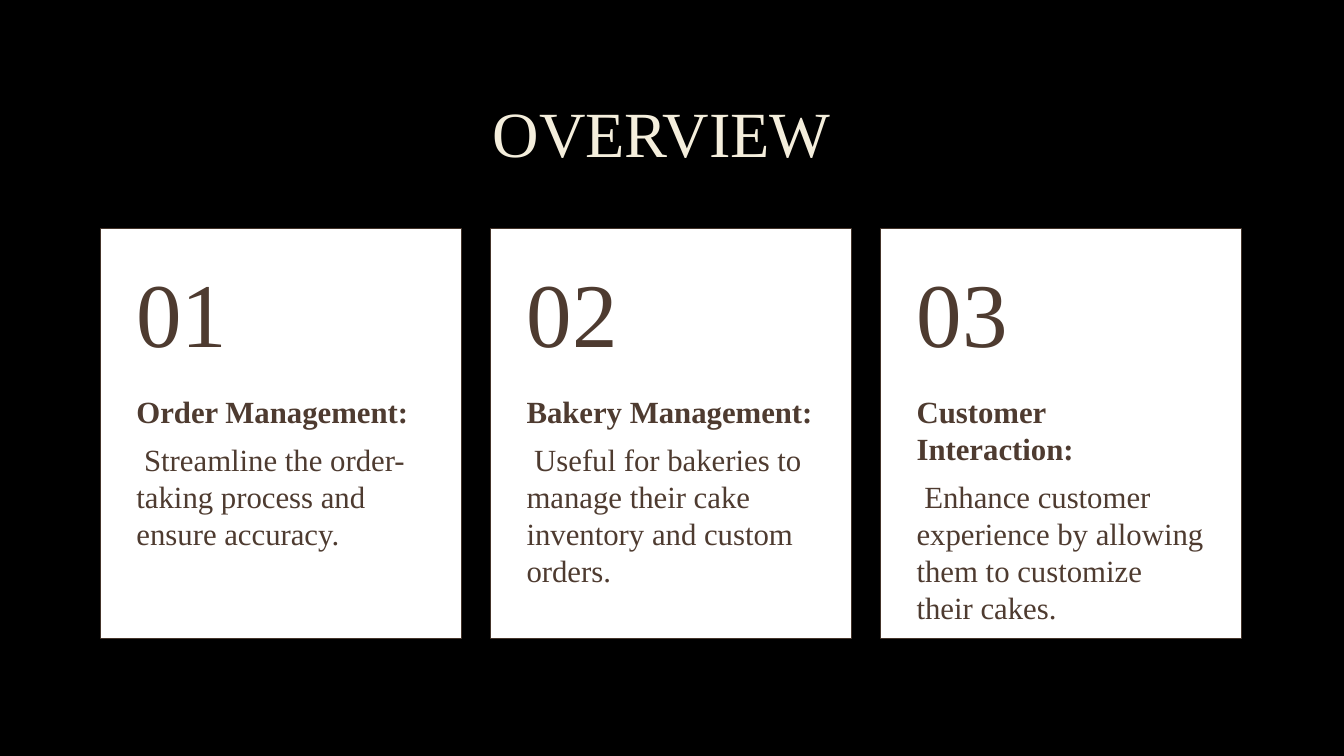
import pptx
import pptx.dml.color
import pptx.enum.shapes
import pptx.enum.text
import pptx.util

Cm = pptx.util.Cm
Pt = pptx.util.Pt
RGBColor = pptx.dml.color.RGBColor
ANCHOR = pptx.enum.text.MSO_ANCHOR
ALIGN = pptx.enum.text.PP_ALIGN

BLACK = RGBColor(0x00, 0x00, 0x00)
WHITE = RGBColor(0xFF, 0xFF, 0xFF)
CREAM = RGBColor(0xF4, 0xEE, 0xDC)
BROWN = RGBColor(0x4E, 0x3B, 0x30)
DARK_BROWN = RGBColor(0x44, 0x34, 0x2A)
FONT = "Times New Roman"

CARD_LEFT, CARD_TOP = 2.54, 5.77
CARD_WIDTH, CARD_HEIGHT = 9.09, 10.31
CARD_STEP = 9.83
NUMBER_HEIGHT = 4.13
CARD_INSET = 0.9

TOPICS = [
    ("Order Management:",
     " Streamline the order-taking process and ensure accuracy."),
    ("Bakery Management:",
     " Useful for bakeries to manage their cake inventory and custom orders."),
    ("Customer Interaction:",
     " Enhance customer experience by allowing them to customize their cakes."),
]


def add_text_box(s, left, top, width, height, anchor=ANCHOR.TOP, insets=(0.25, 0.13, 0.25, 0.13)):
    """Add an empty wrapping box; insets run left, top, right, bottom in cm."""
    tf = s.shapes.add_textbox(Cm(left), Cm(top), Cm(width), Cm(height)).text_frame
    tf.word_wrap = True
    tf.vertical_anchor = anchor
    tf.margin_left, tf.margin_top, tf.margin_right, tf.margin_bottom = map(Cm, insets)
    return tf


def write(p, text, size=22, color=BROWN, bold=False, align=ALIGN.LEFT, spacing=1.0, after=0):
    p.alignment = align
    p.line_spacing = spacing
    p.space_after = Pt(after)
    r = p.add_run()
    r.text = text
    r.font.name = FONT
    r.font.size = Pt(size)
    r.font.bold = bold
    r.font.color.rgb = color


def add_panel(s, left):
    sp = s.shapes.add_shape(pptx.enum.shapes.MSO_SHAPE.RECTANGLE,
                            Cm(left), Cm(CARD_TOP), Cm(CARD_WIDTH), Cm(CARD_HEIGHT))
    sp.shadow.inherit = False
    sp.fill.solid()
    sp.fill.fore_color.rgb = WHITE
    sp.line.color.rgb = DARK_BROWN
    sp.line.width = Pt(0.75)


def add_card(s, index, heading, body):
    left = CARD_LEFT + index * CARD_STEP
    add_panel(s, left)
    tf = add_text_box(s, left, CARD_TOP, CARD_WIDTH, NUMBER_HEIGHT, anchor=ANCHOR.MIDDLE,
                      insets=(CARD_INSET, 0.45, CARD_INSET, 0.45))
    write(tf.paragraphs[0], f"{index + 1:02d}", size=65)
    tf = add_text_box(s, left, CARD_TOP + NUMBER_HEIGHT, CARD_WIDTH, CARD_HEIGHT - NUMBER_HEIGHT,
                      insets=(CARD_INSET, 0, CARD_INSET, 0.9))
    write(tf.paragraphs[0], heading, bold=True, after=7.7)
    write(tf.add_paragraph(), body)


def main():
    prs = pptx.Presentation()
    prs.slide_width, prs.slide_height = Cm(33.87), Cm(19.05)
    s = prs.slides.add_slide(prs.slide_layouts[6])
    s.background.fill.solid()
    s.background.fill.fore_color.rgb = BLACK

    title = add_text_box(s, 2.03, 1.7, 29.29, 3.5, anchor=ANCHOR.MIDDLE)
    write(title.paragraphs[0], "OVERVIEW", size=46, color=CREAM, align=ALIGN.CENTER, spacing=0.9)
    for index, (heading, body) in enumerate(TOPICS):
        add_card(s, index, heading, body)
    prs.save("out.pptx")


if __name__ == "__main__":
    main()
